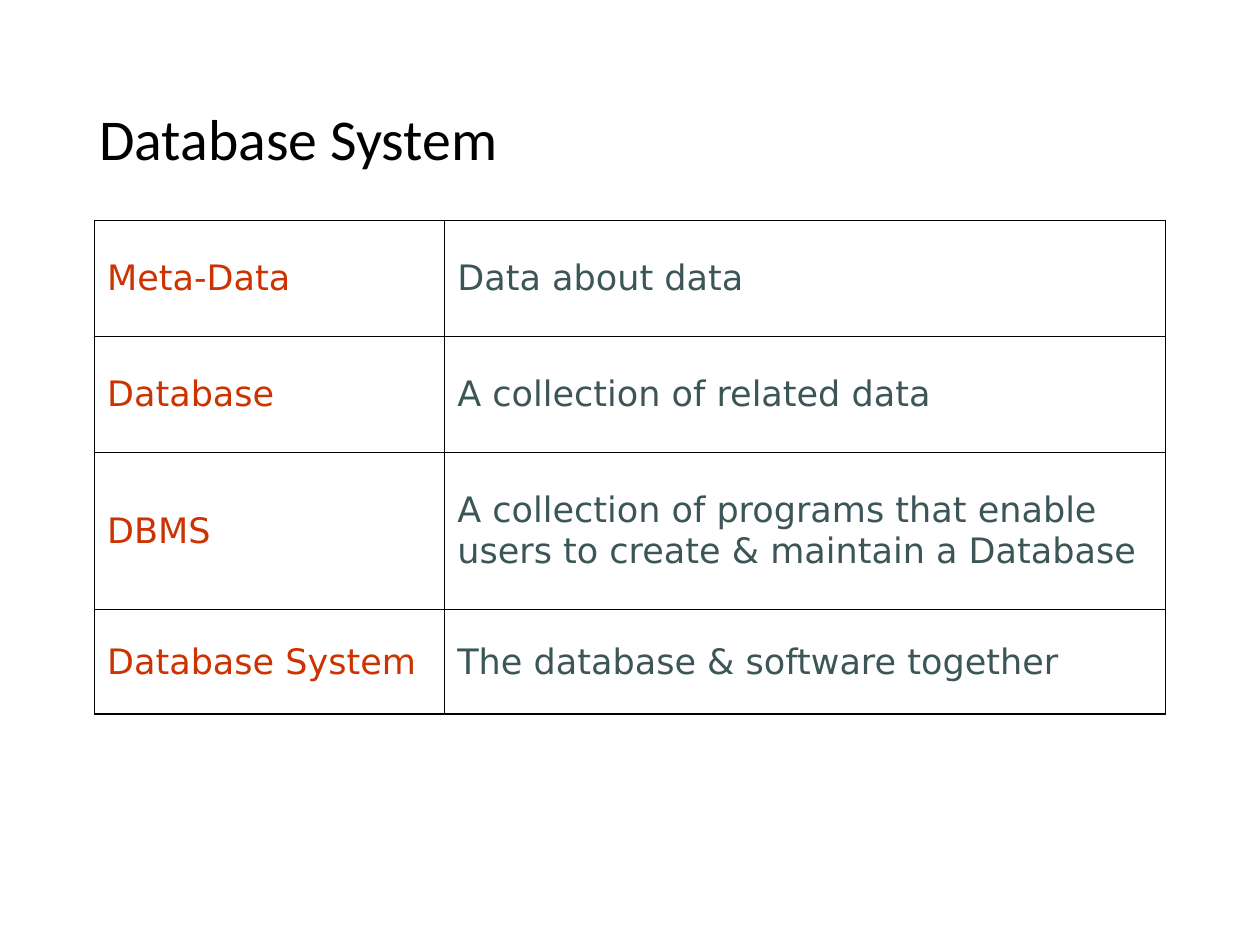
from lxml.etree import SubElement
from pptx import Presentation
from pptx.dml.color import RGBColor
from pptx.enum.text import MSO_ANCHOR
from pptx.oxml.ns import qn
from pptx.util import Inches, Pt

# Content
TITLE = "Database System"
DEFINITIONS = [
    ("Meta-Data", "Data about data"),
    ("Database", "A collection of related data"),
    ("DBMS", "A collection of programs that enable users to create & maintain a Database"),
    ("Database System", "The database & software together"),
]

# Layout and colours
COLUMN_WIDTHS = [2.78, 5.72]
ROW_HEIGHTS = [0.92, 0.92, 1.25, 0.83]
OUTER_LINE, INNER_LINE = 1.08, 0.45
COLORS = {"title": "000000", "term": "CC3300", "meaning": "3C5658",
          "border": "000000", "background": "FFFFFF"}


def write_text(frame, text, size, font, color, line_spacing=None):
    frame.word_wrap = True
    paragraph = frame.paragraphs[0]
    paragraph.line_spacing = line_spacing
    run = paragraph.add_run()
    run.text = text
    run.font.size = Pt(size)
    run.font.name = font
    run.font.color.rgb = RGBColor.from_string(COLORS[color])


def set_borders(cell, widths):
    """Draw the left, right, top and bottom borders, widths in points."""
    properties = cell._tc.get_or_add_tcPr()
    for position, (side, width) in enumerate(zip("LRTB", widths)):
        line = SubElement(properties, qn(f"a:ln{side}"), w=str(Pt(width)))
        fill = SubElement(line, qn("a:solidFill"))
        SubElement(fill, qn("a:srgbClr"), val=COLORS["border"])
        properties.insert(position, line)  # borders precede the fill


prs = Presentation()
prs.slide_width, prs.slide_height = Inches(10), Inches(7.5)
slide = prs.slides.add_slide(prs.slide_layouts[6])
slide.background.fill.solid()
slide.background.fill.fore_color.rgb = RGBColor.from_string(COLORS["background"])

# Title
title = slide.shapes.add_textbox(Inches(0.69), Inches(0.4), Inches(8.63), Inches(1.45))
title.text_frame.vertical_anchor = MSO_ANCHOR.MIDDLE
write_text(title.text_frame, TITLE, size=33, font="Calibri", color="title", line_spacing=0.9)

# Table of definitions
row_count, column_count = len(DEFINITIONS), len(COLUMN_WIDTHS)
table = slide.shapes.add_table(
    row_count, column_count, Inches(0.75), Inches(1.75),
    Inches(sum(COLUMN_WIDTHS)), Inches(sum(ROW_HEIGHTS))).table
table.first_row = table.horz_banding = False
for column, width in zip(table.columns, COLUMN_WIDTHS):
    column.width = Inches(width)
for row, height in zip(table.rows, ROW_HEIGHTS):
    row.height = Inches(height)

for r, definition in enumerate(DEFINITIONS):
    for c, (text, color) in enumerate(zip(definition, ("term", "meaning"))):
        cell = table.cell(r, c)
        cell.vertical_anchor = MSO_ANCHOR.MIDDLE
        cell.fill.background()
        write_text(cell.text_frame, text, size=20, font="DejaVu Sans", color=color)
        on_edge = (c == 0, c == column_count - 1, r == 0, r == row_count - 1)
        set_borders(cell, [OUTER_LINE if edge else INNER_LINE for edge in on_edge])

prs.save("out.pptx")
